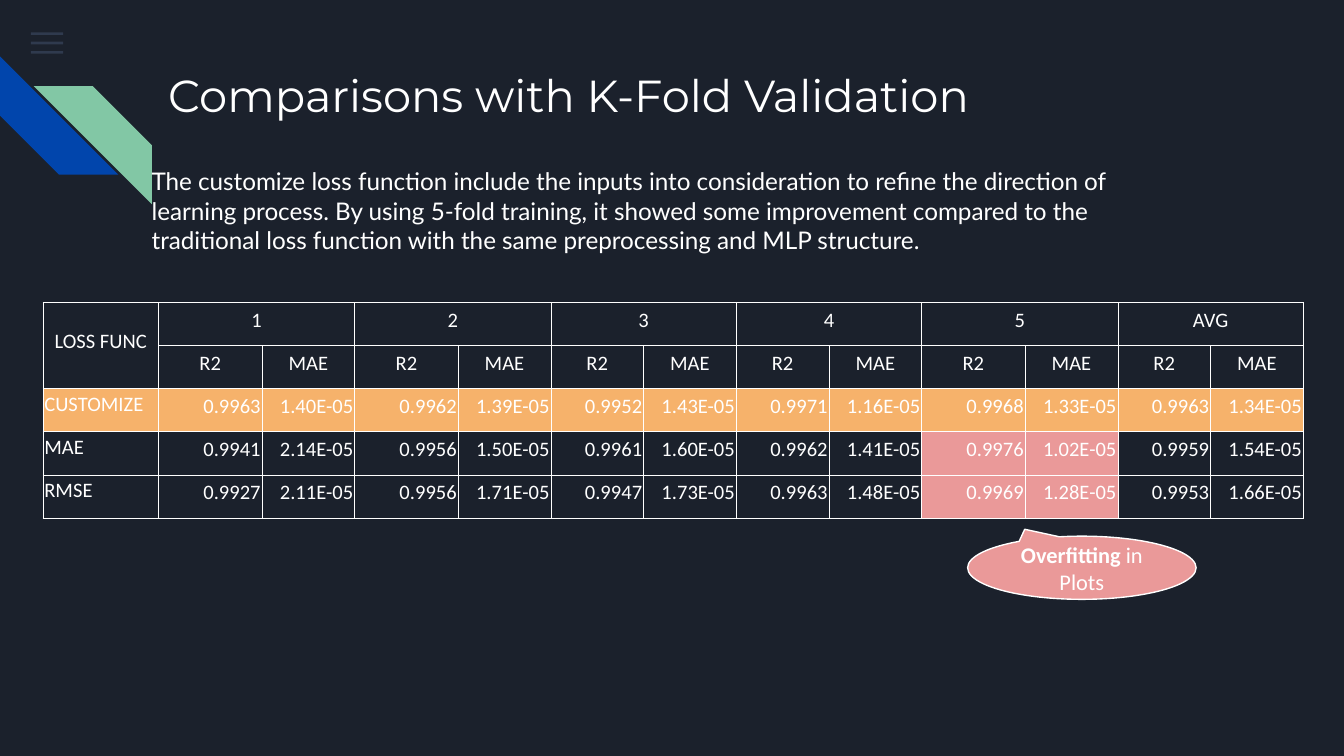
from dataclasses import dataclass
from lxml.etree import SubElement as Sub
from pptx import Presentation
from pptx.dml.color import RGBColor as RGB
from pptx.enum.shapes import MSO_SHAPE as Form
from pptx.enum.text import MSO_ANCHOR as Anchor, PP_ALIGN as Align
from pptx.oxml.ns import qn
from pptx.util import Inches, Pt


@dataclass(frozen=True)
class Theme:
    back: str = "1B212C"
    ink: str = "FFFFFF"
    bar: str = "55688B"
    blue: str = "0145AC"
    green: str = "82C7A5"
    gold: str = "F6B26B"
    pink: str = "EA9999"
    head: str = "Montserrat"
    body: str = "Lato"
    data: str = "Calibri"
    large: int = 24
    mid: int = 13
    note: int = 12
    small: int = 11


def write(para, text, font, size, color, bold=False, align=None, space=None):
    run = para.add_run()
    run.text = text
    run.font.name, run.font.size, run.font.bold = font, Pt(size), bold
    run.font.color.rgb = RGB.from_string(color)
    if align is not None:
        para.alignment = align
    if space is not None:
        para.line_spacing = space


class Deck:
    def __init__(self, theme, wide, high):
        self.theme = theme
        self.show = Presentation()
        self.show.slide_width, self.show.slide_height = Inches(wide), Inches(high)
        self.slide = self.show.slides.add_slide(self.show.slide_layouts[5])
        self.paint(self.slide.background.fill, theme.back)

    def paint(self, fill, color):
        fill.solid()
        fill.fore_color.rgb = RGB.from_string(color)

    def inset(self, frame):
        frame.word_wrap = True
        frame.margin_left = frame.margin_right = Inches(0.1)
        frame.margin_top = frame.margin_bottom = Inches(0.1)

    def title(self, text, box):
        shape = self.slide.shapes.title
        shape.left, shape.top, shape.width, shape.height = map(Inches, box)
        frame = shape.text_frame
        self.inset(frame)
        frame.vertical_anchor = Anchor.TOP
        write(frame.paragraphs[0], text, self.theme.head, self.theme.large,
              self.theme.ink, align=Align.LEFT)

    def text(self, text, box):
        frame = self.slide.shapes.add_textbox(*map(Inches, box)).text_frame
        self.inset(frame)
        write(frame.paragraphs[0], text, self.theme.body, self.theme.mid, self.theme.ink)

    def shape(self, form, box, color, turn=0, adjust=(), alpha=None):
        shape = self.slide.shapes.add_shape(form, *map(Inches, box))
        shape.shadow.inherit = False
        shape.rotation = turn
        for i, value in enumerate(adjust):
            shape.adjustments[i] = value
        self.paint(shape.fill, color)
        shape.line.fill.background()
        if alpha is not None:
            tint = shape.element.spPr.find(qn("a:solidFill"))[0]
            Sub(tint, qn("a:alpha"), val=str(alpha * 1000))
        return shape

    def callout(self, runs, box, color, adjust):
        shape = self.shape(Form.OVAL_CALLOUT, box, color, adjust=adjust)
        self.paint(shape.line.fill, self.theme.ink)
        shape.line.width = Pt(0.75)
        frame = shape.text_frame
        self.inset(frame)
        frame.vertical_anchor = Anchor.MIDDLE
        for text, bold in runs:
            write(frame.paragraphs[0], text, self.theme.data, self.theme.note,
                  self.theme.ink, bold=bold, align=Align.CENTER)

    def border(self, cell):
        props = cell._tc.get_or_add_tcPr()
        for side in ("a:lnL", "a:lnR", "a:lnT", "a:lnB"):
            line = Sub(props, qn(side), w=str(Pt(0.42)))
            Sub(Sub(line, qn("a:solidFill")), qn("a:srgbClr"), val=self.theme.ink)

    def cell(self, cell, text, color, align, space):
        cell.margin_left = cell.margin_right = cell.margin_top = Inches(0.01)
        cell.margin_bottom = Inches(0.1)
        cell.vertical_anchor = Anchor.MIDDLE
        self.border(cell)
        if color:
            self.paint(cell.fill, color)
        else:
            cell.fill.background()
        if text:
            write(cell.text_frame.paragraphs[0], text, self.theme.data, self.theme.small,
                  self.theme.ink, align=align, space=space)

    def table(self, rows, box, widths, heads, fills):
        table = self.slide.shapes.add_table(len(rows), len(widths), *map(Inches, box)).table
        table.first_row = table.horz_banding = False
        for col, width in zip(table.columns, widths):
            col.width = Inches(width)
        for r, row in enumerate(rows):
            for c, text in enumerate(row):
                if r < heads:
                    align, space = Align.CENTER, 1.15
                elif c:
                    align, space = Align.RIGHT, 1.15
                else:
                    align, space = Align.LEFT, None
                self.cell(table.cell(r, c), text, fills.get((r, c)), align, space)
        table.cell(0, 0).merge(table.cell(heads - 1, 0))
        for c in range(1, len(widths), 2):
            table.cell(0, c).merge(table.cell(0, c + 1))


def main():
    theme = Theme()
    deck = Deck(theme, 10, 10 * 9 / 16)
    for i in range(3):
        deck.shape(Form.RECTANGLE, (0.23, 0.24 + 0.07 * i, 0.24, 0.02), theme.bar, alpha=36)
    for left, top, color, turn in ((0, 0.42, theme.blue, 270), (0.25, 0.64, theme.green, 90)):
        deck.shape(Form.DIAGONAL_STRIPE, (left, top, 0.88, 0.88), color, turn, (0.5,))
    deck.title("Comparisons with K-Fold Validation", (1.15, 0.4, 7.7, 1))
    deck.text(
        "The customize loss function include the inputs into consideration to refine the "
        "direction of learning process. By using 5-fold training, it showed some improvement "
        "compared to the traditional loss function with the same preprocessing and MLP "
        "structure.", (1.03, 1.14, 7.95, 0.86))

    folds = ("1", "2", "3", "4", "5", "AVG")
    rows = [
        ["LOSS FUNC"] + [text for fold in folds for text in (fold, "")],
        [""] + ["R2", "MAE"] * len(folds),
        "CUSTOMIZE 0.9963 1.40E-05 0.9962 1.39E-05 0.9952 1.43E-05 0.9971 1.16E-05 "
        "0.9968 1.33E-05 0.9963 1.34E-05".split(),
        "MAE 0.9941 2.14E-05 0.9956 1.50E-05 0.9961 1.60E-05 0.9962 1.41E-05 "
        "0.9976 1.02E-05 0.9959 1.54E-05".split(),
        "RMSE 0.9927 2.11E-05 0.9956 1.71E-05 0.9947 1.73E-05 0.9963 1.48E-05 "
        "0.9969 1.28E-05 0.9953 1.66E-05".split(),
    ]
    widths = [0.86] + [0.77 if c in (1, 3, 9) else 0.69 for c in range(1, 13)]
    fills = {(2, c): theme.gold for c in range(13)}
    fills.update({(r, c): theme.pink for r in (3, 4) for c in (9, 10)})
    deck.table(rows, (0.32, 2.25, 9.37, 1.54), widths, 2, fills)

    deck.callout((("Overfitting", True), (" in Plots", False)),
                 (7.2, 3.99, 1.7, 0.47), theme.pink, (-0.25, -0.61))
    deck.show.save("out.pptx")


if __name__ == "__main__":
    main()
